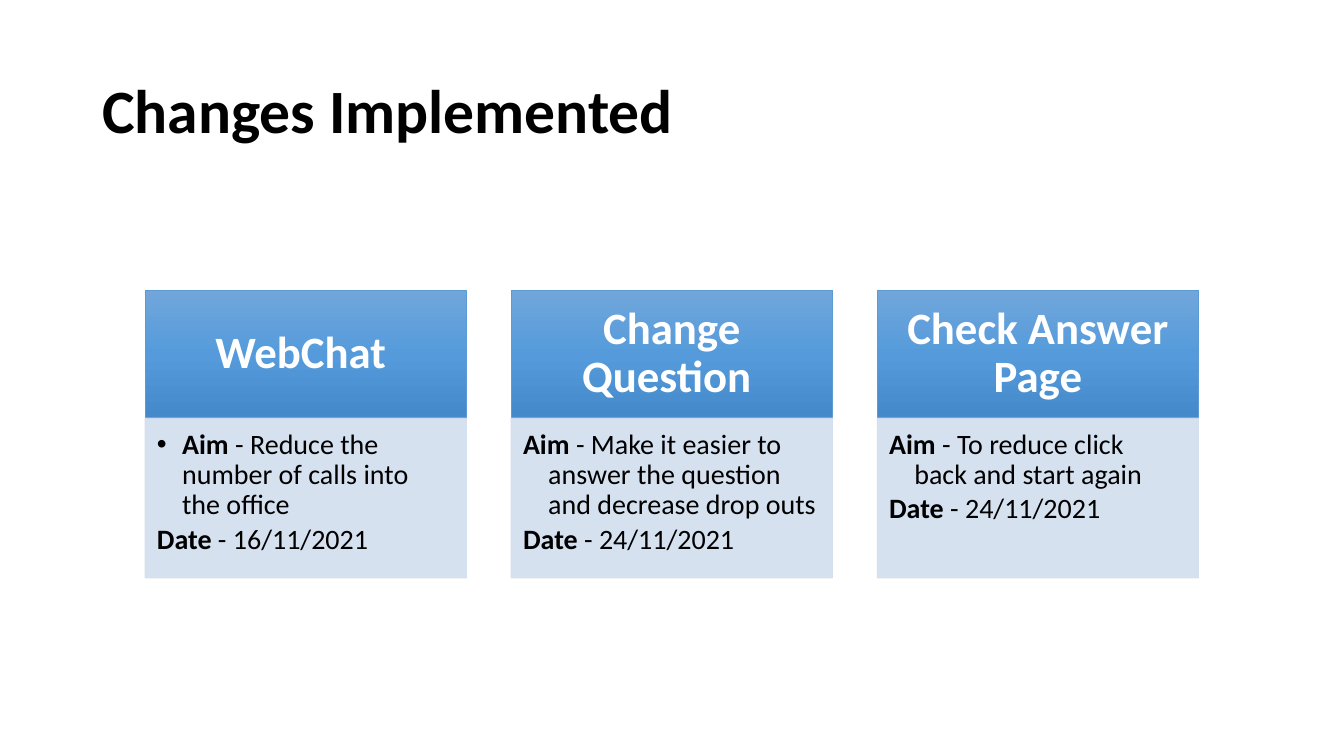
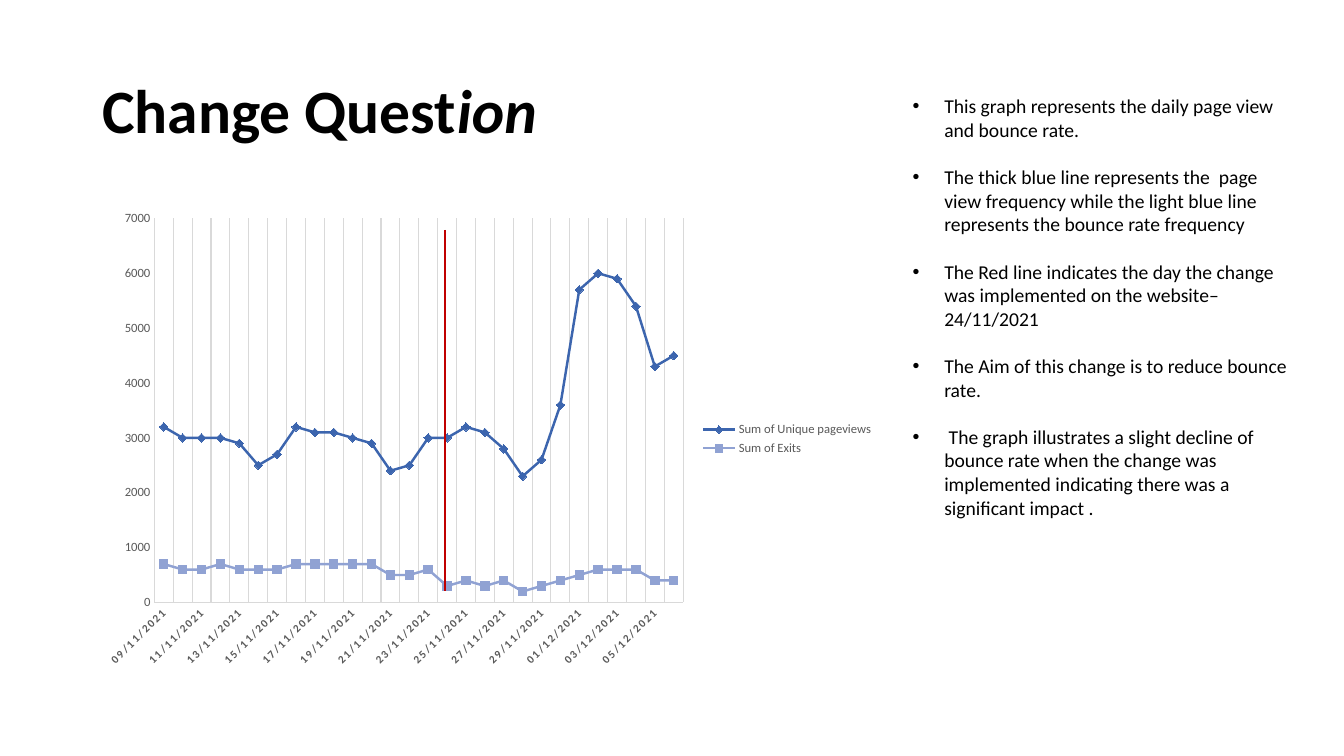
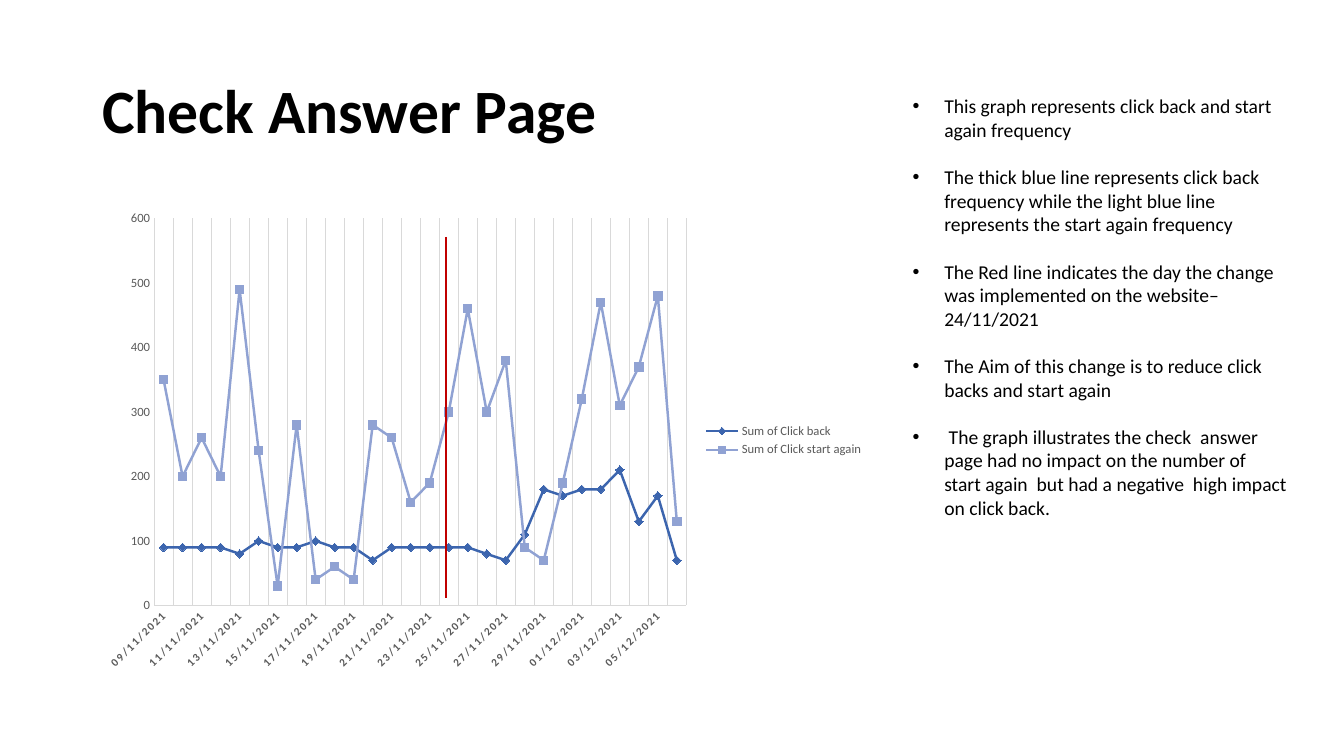
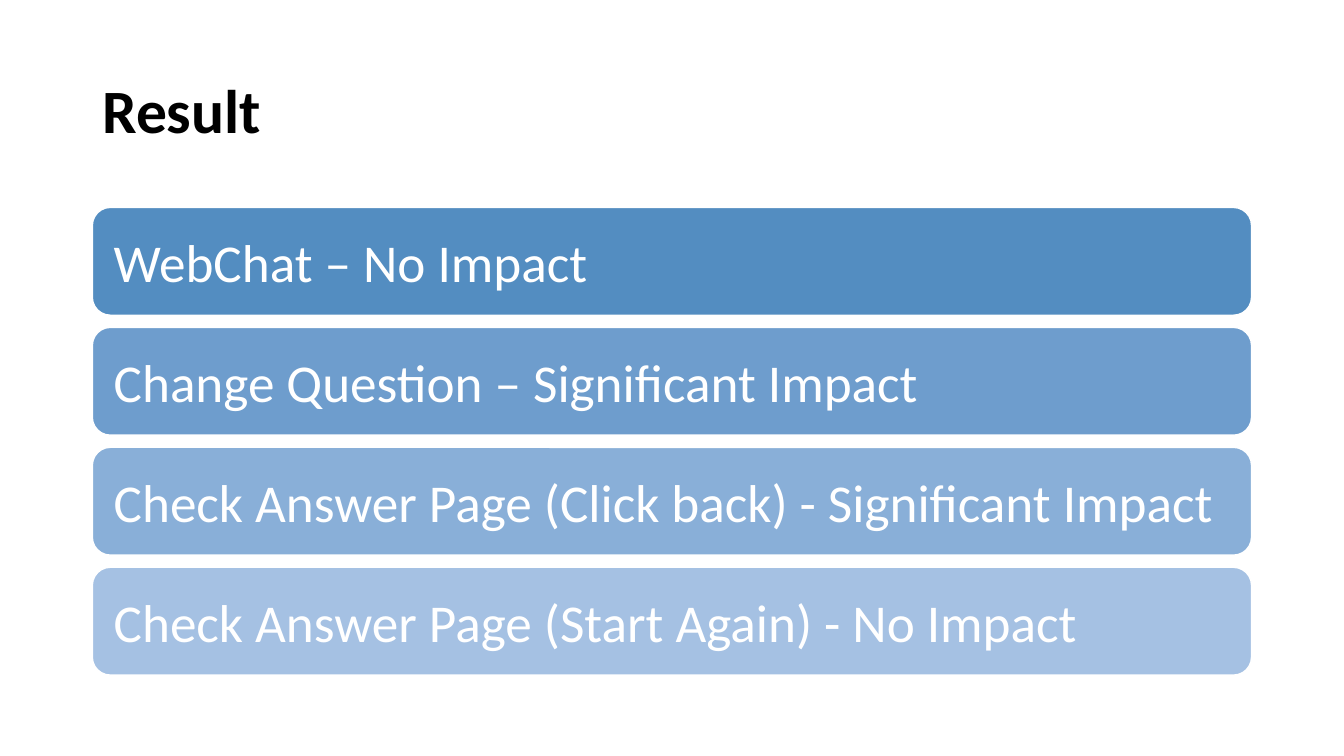
import copy

import pptx
import pptx.chart.data
import pptx.dml.color
import pptx.enum.chart
import pptx.enum.dml
import pptx.enum.shapes
import pptx.enum.text
import pptx.oxml
import pptx.oxml.ns
import pptx.util

Pt = pptx.util.Pt
qn = pptx.oxml.ns.qn
SHAPE = pptx.enum.shapes.MSO_SHAPE
ANCHOR = pptx.enum.text.MSO_ANCHOR
ALIGN = pptx.enum.text.PP_ALIGN
MARKER = pptx.enum.chart.XL_MARKER_STYLE
TICK = pptx.enum.chart.XL_TICK_MARK

FONT = "Calibri"
BLACK, WHITE, GREY, PALE_GREY, RED = "000000", "FFFFFF", "595959", "D9D9D9", "C00000"
CARD_GRADIENT = [(0, "71A6DB"), (0.5, "559BDB"), (1, "448ACA")]
CARD_EDGE, CARD_BODY = "5B9BD5", "D2DEEF"
SERIES_STYLES = [("3C65AE", MARKER.DIAMOND), ("90A2D3", MARKER.SQUARE)]
LEFT, WIDTH = 66, 828

CHANGES_TITLE = [("Changes Implemented", {})]
CHANGES = [
    {"name": "WebChat ", "aim": "Reduce the number of calls into the office",
     "date": "16/11/2021", "bullet": True},
    {"name": "Change Question ",
     "aim": "Make it easier to answer the question and decrease drop outs",
     "date": "24/11/2021", "bullet": False},
    {"name": "Check Answer Page", "aim": "To reduce click back and start again",
     "date": "24/11/2021", "bullet": False},
]

DATES = ([f"{day:02}/11/2021" for day in range(9, 31)]
         + [f"{day:02}/12/2021" for day in range(1, 7)])
RED_LINE_NOTE = ("The Red line indicates the day the change was implemented "
                 "on the website– 24/11/2021")
GRAPHS = [
    {"title": [("Change Quest", {}), ("ion", {"italic": True})],
     "size": (565.2, 339.12), "top_value": 7000, "step": 1000,
     "change_day": (317.9, 164.16),
     "series": {
         "Sum of Unique pageviews": [
             3200, 3000, 3000, 3000, 2900, 2500, 2700, 3200, 3100, 3100, 3000, 2900, 2400, 2500,
             3000, 3000, 3200, 3100, 2800, 2300, 2600, 3600, 5700, 6000, 5900, 5400, 4300, 4500],
         "Sum of Exits": [
             700, 600, 600, 700, 600, 600, 600, 700, 700, 700, 700, 700, 500, 500,
             600, 300, 400, 300, 400, 200, 300, 400, 500, 600, 600, 600, 400, 400]},
     "notes": [
         "This graph represents the daily page view and bounce rate.",
         "The thick blue line represents the  page view frequency while the light blue line "
         "represents the bounce rate frequency",
         RED_LINE_NOTE,
         "The Aim of this change is to reduce bounce rate.",
         " The graph illustrates a slight decline of bounce rate when the change was "
         "implemented indicating there was a significant impact ."]},
    {"title": [("Check Answer Page", {})],
     "size": (558, 341.28), "top_value": 600, "step": 100,
     "change_day": (318.7, 169.2),
     "series": {
         "Sum of Click back": [
             90, 90, 90, 90, 80, 100, 90, 90, 100, 90, 90, 70, 90, 90,
             90, 90, 90, 80, 70, 110, 180, 170, 180, 180, 210, 130, 170, 70],
         "Sum of Click start again": [
             350, 200, 260, 200, 490, 240, 30, 280, 40, 60, 40, 280, 260, 160,
             190, 300, 460, 300, 380, 90, 70, 190, 320, 470, 310, 370, 480, 130]},
     "notes": [
         "This graph represents click back and start again frequency",
         "The thick blue line represents click back frequency while the light blue line "
         "represents the start again frequency",
         RED_LINE_NOTE,
         "The Aim of this change is to reduce click backs and start again",
         " The graph illustrates the check  answer page had no impact on the number of "
         " start again  but had a negative  high impact on click back."]},
]

RESULT_TITLE = [("Result", {})]
RESULTS = [
    ("WebChat – No Impact", "538DC1"),
    ("Change Question – Significant Impact", "6E9DCD"),
    ("Check Answer Page (Click back) - Significant Impact", "89AFD8"),
    ("Check Answer Page (Start Again) - No Impact", "A5C1E3"),
]


def colour(hex_value):
    return pptx.dml.color.RGBColor.from_string(hex_value)


def assign(target, values):
    for name, value in values.items():
        setattr(target, name, value)


def style_font(font, size, hex_value, **values):
    assign(font, {"name": FONT, "size": Pt(size), **values})
    font.color.rgb = colour(hex_value)


def style_line(line, hex_value, width):
    line.color.rgb = colour(hex_value)
    line.width = Pt(width)


def set_insets(frame, left, top, right, bottom):
    assign(frame, {"margin_left": Pt(left), "margin_top": Pt(top),
                   "margin_right": Pt(right), "margin_bottom": Pt(bottom)})


def write(frame, paragraphs, size, hex_value, anchor, hanging=0, **layout):
    """Fill a frame; each paragraph is (runs, bulleted) and each run (text, font values)."""
    assign(frame, {"word_wrap": True, "vertical_anchor": anchor})
    for index, (runs, bulleted) in enumerate(paragraphs):
        paragraph = frame.add_paragraph() if index else frame.paragraphs[0]
        assign(paragraph, {"alignment": ALIGN.LEFT, **layout})
        properties = paragraph._p.get_or_add_pPr()
        if hanging:
            properties.set("marL", str(Pt(hanging)))
            properties.set("indent", str(-Pt(hanging)))
        if bulleted:
            bullet_font = properties.makeelement(qn("a:buFont"), {"typeface": "Arial"})
            bullet = properties.makeelement(qn("a:buChar"), {"char": "•"})
            properties.extend([bullet_font, bullet])
        for text, values in runs:
            run = paragraph.add_run()
            run.text = text
            style_font(run.font, size, hex_value, **values)


def add_box(slide, preset, left, top, width, height):
    box = slide.shapes.add_shape(preset, Pt(left), Pt(top), Pt(width), Pt(height))
    box.shadow.inherit = False
    return box


def add_titled_slide(deck, title_runs):
    slide = deck.slides.add_slide(deck.slide_layouts[6])
    title = slide.shapes.add_textbox(Pt(LEFT), Pt(28.8), Pt(WIDTH), Pt(104.4))
    write(title.text_frame, [(title_runs, False)], 44, BLACK, ANCHOR.MIDDLE, line_spacing=0.9)
    for run in title.text_frame.paragraphs[0].runs:
        run.font.bold = True
    return slide


def fill_gradient(shape, stops):
    shape.fill.gradient()
    shape.fill.gradient_angle = 270
    stop_list = shape._element.spPr.find(".//" + qn("a:gsLst"))
    while len(stop_list) < len(stops):
        stop_list.append(copy.deepcopy(stop_list[0]))
    for element, stop, (position, hex_value) in zip(stop_list, shape.fill.gradient_stops, stops):
        stop.color.rgb = colour(hex_value)
        element.set("pos", str(int(position * 100000)))


def set_opacity(shape, percent):
    for value in shape._element.spPr.iter(qn("a:srgbClr")):
        value.append(value.makeelement(qn("a:alpha"), {"val": str(percent * 1000)}))


def add_change_card(slide, left, change):
    top, width, head_height, body_height = 207.2, 229.6, 91.4, 114.2
    head = add_box(slide, SHAPE.RECTANGLE, left, top, width, head_height)
    fill_gradient(head, CARD_GRADIENT)
    style_line(head.line, CARD_EDGE, 0.5)
    set_insets(head.text_frame, 18, 10, 18, 10)
    write(head.text_frame, [([(change["name"], {"bold": True})], False)], 32, WHITE,
          ANCHOR.MIDDLE, alignment=ALIGN.CENTER, line_spacing=0.9)

    body = add_box(slide, SHAPE.RECTANGLE, left, top + head_height, width, body_height)
    body.fill.solid()
    body.fill.fore_color.rgb = colour(CARD_BODY)
    style_line(body.line, CARD_BODY, 0.5)
    set_opacity(body, 90)
    set_insets(body.text_frame, 8.5, 8.5, 11.4, 12.2)
    details = [
        ([("Aim", {"bold": True}), (" - " + change["aim"], {})], change["bullet"]),
        ([("Date", {"bold": True}), (" - " + change["date"], {})], False),
    ]
    write(body.text_frame, details, 20, BLACK, ANCHOR.TOP, hanging=18,
          line_spacing=0.9, space_after=Pt(3))


def add_graph(slide, graph):
    data = pptx.chart.data.CategoryChartData(number_format="General")
    data.categories = DATES
    for name, values in graph["series"].items():
        data.add_series(name, values)
    width, height = graph["size"]
    chart = slide.shapes.add_chart(
        pptx.enum.chart.XL_CHART_TYPE.LINE_MARKERS,
        Pt(LEFT), Pt(144), Pt(width), Pt(height), data).chart
    assign(chart, {"has_title": False, "has_legend": True})
    style_font(chart.font, 10, BLACK)
    assign(chart.legend, {"position": pptx.enum.chart.XL_LEGEND_POSITION.RIGHT,
                          "include_in_layout": False})
    style_font(chart.legend.font, 9, GREY)

    dates, counts = chart.category_axis, chart.value_axis
    for axis in (dates, counts):
        assign(axis, {"major_tick_mark": TICK.NONE, "minor_tick_mark": TICK.NONE})
        style_line(axis.format.line, PALE_GREY, 0.75)
    assign(counts, {"has_major_gridlines": False, "minimum_scale": 0,
                    "maximum_scale": graph["top_value"], "major_unit": graph["step"]})
    style_font(counts.tick_labels.font, 9, GREY)
    dates.has_major_gridlines = True
    style_line(dates.major_gridlines.format.line, PALE_GREY, 0.75)
    style_font(dates.tick_labels.font, 8, GREY, bold=True)
    label_text = dates._element.find(qn("c:txPr"))
    label_text.find(qn("a:bodyPr")).set("rot", "-2700000")
    label_text.find(".//" + qn("a:defRPr")).set("spc", "120")

    chart.plots[0].vary_by_categories = False
    for series, (hex_value, symbol) in zip(chart.series, SERIES_STYLES):
        series.smooth = False
        style_line(series.format.line, hex_value, 1.75)
        assign(series.marker, {"style": symbol, "size": 6})
        series.marker.format.fill.solid()
        series.marker.format.fill.fore_color.rgb = colour(hex_value)
        style_line(series.marker.format.line, hex_value, 0.75)


def add_change_day(slide, x, top):
    change_day = slide.shapes.add_connector(
        pptx.enum.shapes.MSO_CONNECTOR.STRAIGHT, Pt(x), Pt(top), Pt(x), Pt(top + 257.76))
    style_line(change_day.line, RED, 1.5)
    properties = change_day._element.spPr
    properties.append(properties.makeelement(qn("a:effectLst"), {}))


def add_notes_column(slide, notes):
    column = slide.shapes.add_textbox(Pt(644.9), Pt(63.8), Pt(283.68), Pt(334.08))
    write(column.text_frame, [([(note, {})], True) for note in notes], 14, BLACK,
          ANCHOR.TOP, hanging=22.5, space_after=Pt(17))


def add_result_bar(slide, top, text, hex_value):
    bar = add_box(slide, SHAPE.ROUNDED_RECTANGLE, LEFT, top, WIDTH, 77)
    bar.fill.solid()
    bar.fill.fore_color.rgb = colour(hex_value)
    style_line(bar.line, WHITE, 1)
    set_insets(bar.text_frame, *[11.5] * 4)
    write(bar.text_frame, [([(text, {})], False)], 38, WHITE, ANCHOR.MIDDLE)


def main():
    deck = pptx.Presentation()
    assign(deck, {"slide_width": Pt(960), "slide_height": Pt(540)})

    changes_slide = add_titled_slide(deck, CHANGES_TITLE)
    for column, change in enumerate(CHANGES):
        add_change_card(changes_slide, 103.6 + column * 261.5, change)

    for graph in GRAPHS:
        graph_slide = add_titled_slide(deck, graph["title"])
        add_graph(graph_slide, graph)
        add_change_day(graph_slide, *graph["change_day"])
        add_notes_column(graph_slide, graph["notes"])

    result_slide = add_titled_slide(deck, RESULT_TITLE)
    for row, (text, hex_value) in enumerate(RESULTS):
        add_result_bar(result_slide, 148.2 + row * 85.68, text, hex_value)

    deck.save("out.pptx")


if __name__ == "__main__":
    main()
